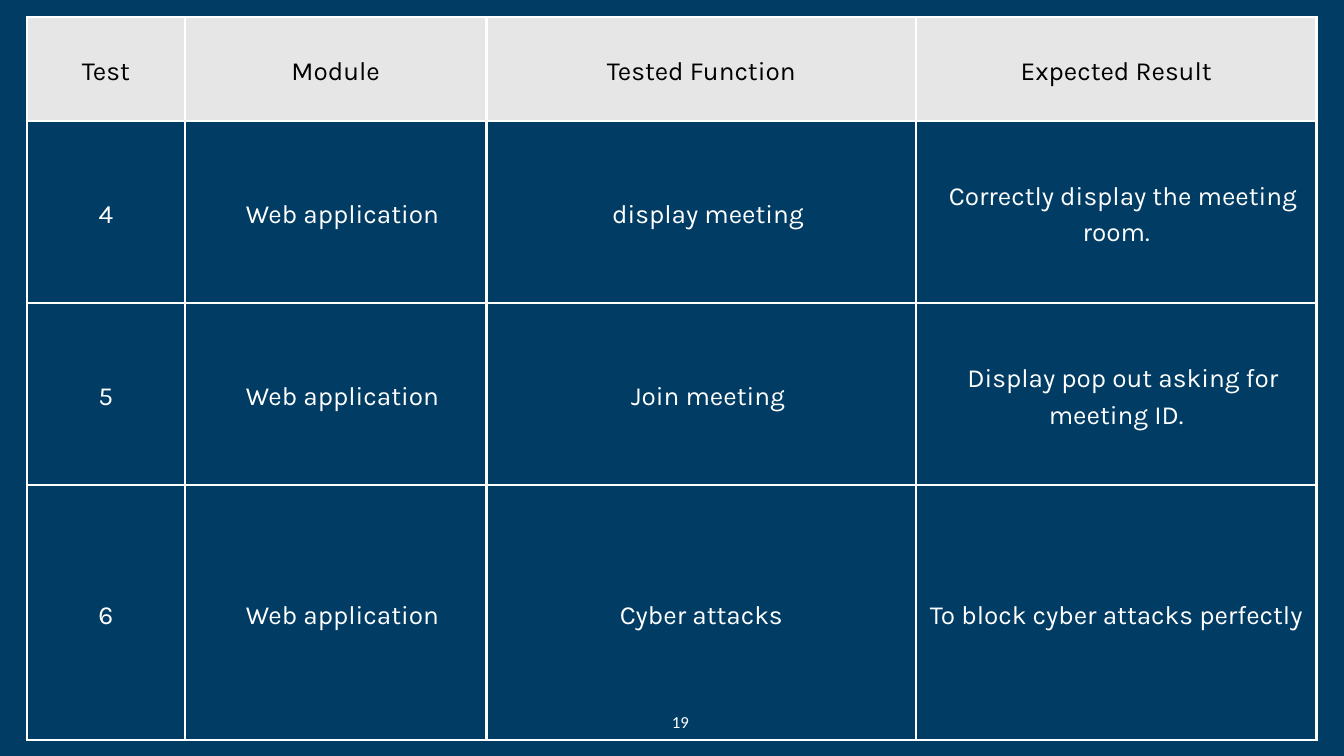
"""Build the slide that lists test cases 4 to 6 in one table."""
from lxml.etree import SubElement
from pptx import Presentation
from pptx.dml.color import RGBColor as Rgb
from pptx.enum.text import MSO_ANCHOR as Anchor, PP_ALIGN as Align
from pptx.oxml.ns import qn
from pptx.util import Inches, Pt

COLORS = {"navy": "003C64", "header": "E6E6E6", "black": "000000", "white": "FFFFFF"}
COLUMN_WIDTHS = [2.35, 4.49, 6.39, 5.96]
ROW_HEIGHTS = [1.55, 2.71, 2.71, 3.79]
CELL_FORMAT = {
    "vertical_anchor": Anchor.MIDDLE,
    "margin_left": Inches(0.2),
    "margin_right": Inches(0.2),
    "margin_top": Inches(0.2),
    "margin_bottom": Inches(0.2),
}
CELL_PARAGRAPH = {"alignment": Align.CENTER, "line_spacing": Pt(39.2)}
CELL_FONT = {"name": "Karla", "size": Pt(28)}
NUMBER_FONT = {"name": "Calibri", "size": Pt(18)}
HEADINGS = ["Test", "Module", "Tested Function", "Expected Result"]
TESTS = [
    ["4", "Web application", "display meeting", "Correctly display the meeting room."],
    ["5", "Web application", "Join meeting", "Display pop out asking for meeting ID."],
    ["6", "Web application", "Cyber attacks", "To block cyber attacks perfectly"],
]
INDENTED = {(row, column) for row in (1, 2, 3) for column in (1, 2, 3)} - {(3, 2), (3, 3)}


def apply_format(target, values):
    for attribute, value in values.items():
        setattr(target, attribute, value)


def style_font(font, values, color):
    apply_format(font, values)
    font.color.rgb = Rgb.from_string(COLORS[color])


def add_borders(cell, color, points):
    properties = cell._tc.get_or_add_tcPr()
    for side in ("lnL", "lnR", "lnT", "lnB"):
        border = SubElement(properties, qn(f"a:{side}"), w=str(Pt(points)))
        fill = SubElement(border, qn("a:solidFill"))
        SubElement(fill, qn("a:srgbClr"), val=COLORS[color])


def fill_cell(cell, wording, is_heading, is_indented):
    add_borders(cell, "white", 3)
    if is_heading:
        cell.fill.solid()
        cell.fill.fore_color.rgb = Rgb.from_string(COLORS["header"])
    else:
        cell.fill.background()
    apply_format(cell, CELL_FORMAT)
    cell.text = wording
    line = cell.text_frame.paragraphs[0]
    apply_format(line, CELL_PARAGRAPH)
    if is_indented:
        line._p.get_or_add_pPr().set("indent", str(Inches(0.2)))
    style_font(line.runs[0].font, CELL_FONT, "black" if is_heading else "white")


def add_test_table(slide):
    content = [HEADINGS, *TESTS]
    tests = slide.shapes.add_table(
        len(content), len(HEADINGS), Inches(0.4), Inches(0.25),
        Inches(sum(COLUMN_WIDTHS)), Inches(sum(ROW_HEIGHTS)),
    ).table
    tests.horz_banding = False
    for column, width in zip(tests.columns, COLUMN_WIDTHS):
        column.width = Inches(width)
    for row, height in zip(tests.rows, ROW_HEIGHTS):
        row.height = Inches(height)
    for row, wordings in enumerate(content):
        for column, wording in enumerate(wordings):
            fill_cell(tests.cell(row, column), wording, row == 0, (row, column) in INDENTED)


def add_page_number(slide, number):
    footer = slide.shapes.add_textbox(Inches(9.25), Inches(10.54), Inches(1.75), Inches(0.4))
    footer.text_frame.word_wrap = True
    line = footer.text_frame.paragraphs[0]
    line.alignment = Align.CENTER
    page = line.add_run()
    page.text = number
    style_font(page.font, NUMBER_FONT, "white")


def main():
    deck = Presentation()
    apply_format(deck, {"slide_width": Inches(20), "slide_height": Inches(11.25)})
    slide = deck.slides.add_slide(deck.slide_layouts[6])
    slide.background.fill.solid()
    slide.background.fill.fore_color.rgb = Rgb.from_string(COLORS["navy"])
    add_test_table(slide)
    add_page_number(slide, "19")
    deck.save("out.pptx")


if __name__ == "__main__":
    main()
